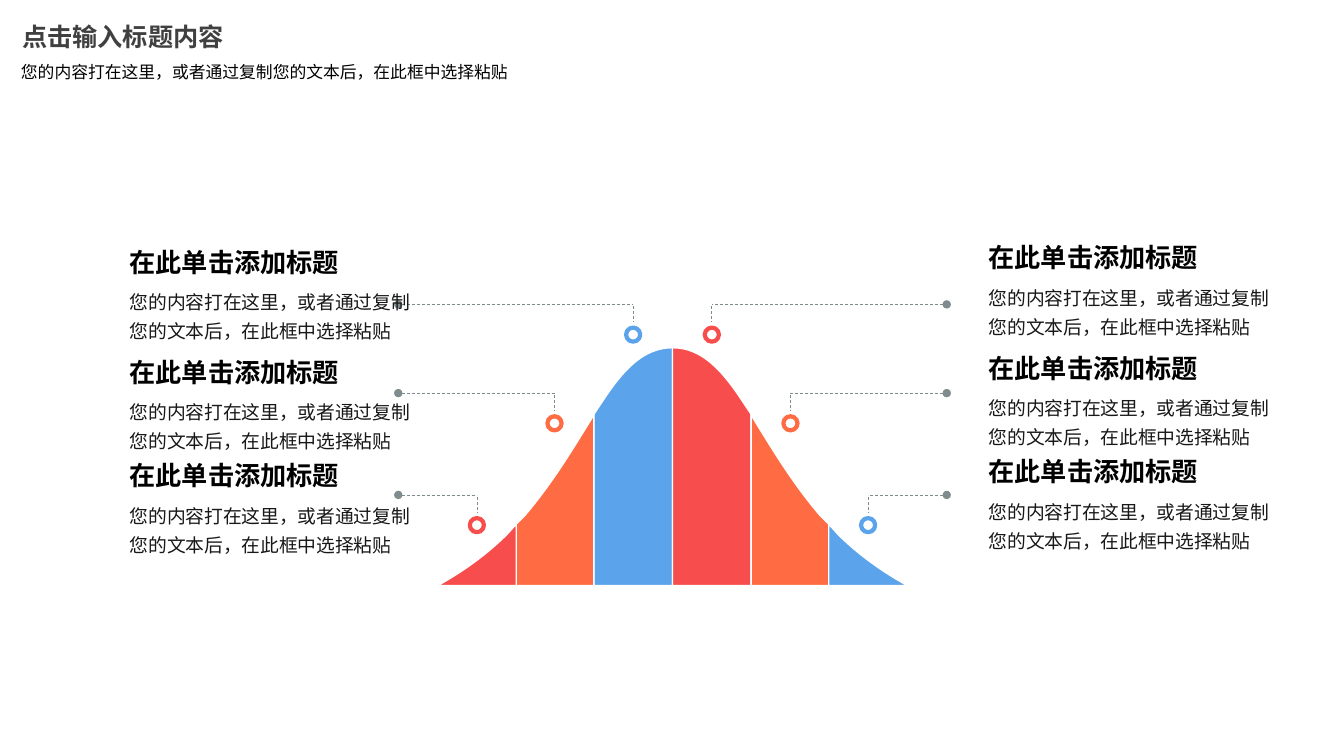
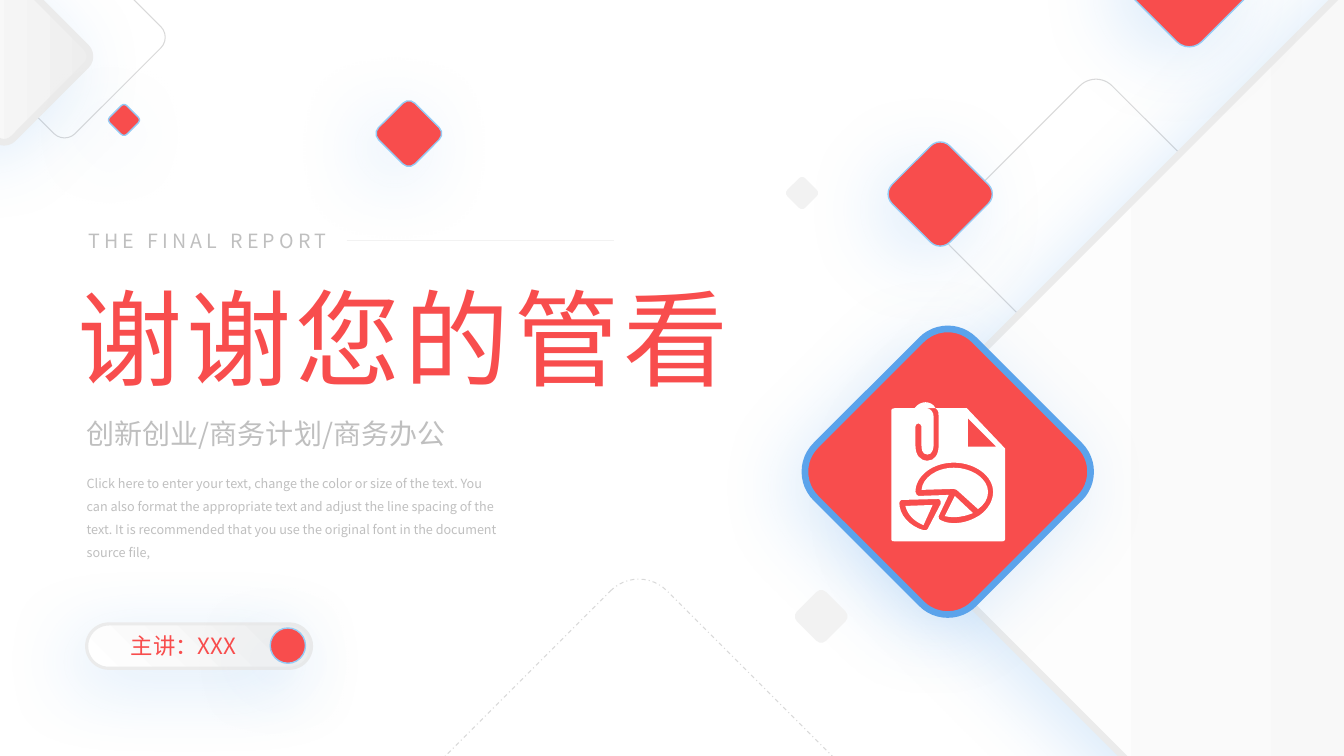
"""Build a bell-curve slide and a closing slide."""
from lxml import etree
from pptx import Presentation
from pptx import util as u
from pptx.dml.color import RGBColor
from pptx.enum import dml, shapes, text
from pptx.oxml.ns import qn

EMU_PER_PX = 9144
FONT = "Noto Sans CJK SC"
RED, ORANGE, BLUE = "F84D4D", "FF6B42", "5BA3EB"
WHITE, BLACK, INK, TITLE_GRAY = "FFFFFF", "000000", "181818", "404040"
TEXT_GRAY, OUTLINE, PALE, EDGE = "BFBFBF", "D9D9D9", "F2F2F2", "EBEBEB"
SLATE, ICE, SHADOW = "7F8C8D", "94CBF5", "4999E9"
DEFAULT_INSETS, NO_INSETS = (10, 5, 10, 5), (0, 0, 0, 0)
SENTENCE = "您的内容打在这里，或者通过复制您的文本后，在此框中选择粘贴"
CENTER, LEADER_REACH = 667, 272

BELL_SEGMENTS = [
    ([(0, 345), (29, 345, 49, 367, 70, 399), (78, 411), (78, 581), (0, 581)], BLUE, RED),
    ([(78, 411), (80, 415), (98, 444, 118, 478, 146, 511), (155, 520), (155, 581), (78, 581)],
     ORANGE, ORANGE),
    ([(155, 520), (164, 530), (183, 549, 206, 566, 233, 581), (155, 581)], RED, BLUE),
]
MARKERS = [(39, 302, BLUE, RED), (117, 390, ORANGE, ORANGE), (194, 491, RED, BLUE)]
ITEM_TOPS = [(239, 277), (349, 386), (451, 489)]

PIE_TOP = [(946, 464), (929, 464, 915, 474, 914, 486), (946, 485), (949, 486), (970, 505),
           (976, 501, 980, 495, 980, 488), (980, 475, 964, 464, 946, 464)]
PIE_BOTTOM = [(937, 512), (941, 513, 944, 513, 946, 513), (954, 513, 960, 511, 965, 509), (947, 492)]
PIE_SLICE = [(916, 521), (925, 501), (898, 502), (900, 510, 906, 517, 916, 521)]
PAGE_AND_CLIP = [
    (997, 445), (996, 444), (959, 405), (928, 405), (931, 407, 931, 410, 931, 413), (931, 442),
    (931, 451, 927, 457, 920, 457), (912, 457, 908, 451, 908, 442), (908, 423),
    (908, 422, 909, 420, 911, 420), (912, 420, 914, 422, 914, 423), (914, 442),
    (914, 444, 914, 451, 920, 451), (925, 451, 926, 444, 926, 442), (926, 413),
    (926, 409, 923, 405, 919, 405), (928, 405), (926, 401, 922, 399, 918, 399),
    (914, 399, 910, 401, 907, 405), (887, 405), (885, 405, 884, 406, 884, 407), (884, 535),
    (884, 537, 885, 537, 887, 537), (994, 537), (995, 537, 997, 537, 997, 535)]
SLICE_HOLE = [(918, 526), (916, 526), (902, 522, 892, 511, 892, 499), (892, 498, 893, 496, 894, 496),
              (931, 495), (931, 495, 933, 496, 933, 497), (933, 500), (920, 525),
              (919, 526, 918, 526, 918, 526)]
PIE_HOLE = [(972, 511), (964, 516, 956, 519, 946, 519), (941, 519, 937, 518, 933, 516),
            (931, 516, 931, 514, 931, 512), (941, 491), (911, 492), (910, 492, 908, 490, 908, 488),
            (908, 472, 925, 459, 946, 459), (967, 459, 985, 472, 985, 488),
            (985, 497, 980, 505, 972, 511)]
FOLD_HOLE = [(960, 443), (960, 415), (988, 443)]
REPORT_ICON = [[PIE_TOP], [PIE_BOTTOM], [PIE_SLICE],
               [PAGE_AND_CLIP, SLICE_HOLE, PIE_HOLE, FOLD_HOLE]]


def px(value):
    """Turn px into EMU."""
    return u.Emu(round(value * EMU_PER_PX))


def color(value):
    """Turn a hex string into a colour."""
    return RGBColor.from_string(value)


def apply(target, values):
    """Set each attribute named in a dict of format values."""
    for name, value in values.items():
        setattr(target, name, value)


def paint_line(line, stroke):
    """Format a line from a (colour, points, dash) tuple, or clear it."""
    if stroke is None:
        line.fill.background()
        return
    stroke_color, width, *dash = stroke
    line.color.rgb = color(stroke_color)
    apply(line, {"width": u.Pt(width), "dash_style": dash[0] if dash else None})


def paint_fill(fill, paint):
    """Apply no fill, a solid colour, or a gradient of (colour, position) stops."""
    if paint is None:
        fill.background()
    elif isinstance(paint, str):
        fill.solid()
        fill.fore_color.rgb = color(paint)
    else:
        fill.gradient()
        fill.gradient_angle = 45
        for stop, (stop_color, position) in zip(fill.gradient_stops, paint):
            stop.color.rgb = color(stop_color)
            stop.position = position


def add_glow(shape):
    """Give a shape the soft blue shadow below and to its left."""
    effects = shape._element.spPr.find(qn("a:effectLst"))
    shadow = etree.SubElement(effects, qn("a:outerShdw"), blurRad=str(u.Pt(55)), dist=str(u.Pt(15)),
                              dir=str(135 * 60000), algn="ctr", rotWithShape="0")
    tint = etree.SubElement(shadow, qn("a:srgbClr"), val=SHADOW)
    etree.SubElement(tint, qn("a:alpha"), val="20000")


def add_preset(slide, kind, box, fill=None, stroke=None, radius=None, rotation=0, glow=False):
    """Draw a preset shape."""
    shape = slide.shapes.add_shape(kind, *map(px, box))
    shape.shadow.inherit = False
    shape.rotation = rotation
    if radius is not None:
        shape.adjustments[0] = radius
    paint_fill(shape.fill, fill)
    paint_line(shape.line, stroke)
    if glow:
        add_glow(shape)


def add_circle(slide, left, top, size, **style):
    """Draw a circle."""
    add_preset(slide, shapes.MSO_SHAPE.OVAL, (left, top, size, size), **style)


def add_diamond(slide, left, top, size, **style):
    """Draw a rounded square turned on its corner."""
    add_preset(slide, shapes.MSO_SHAPE.ROUNDED_RECTANGLE, (left, top, size, size),
               rotation=45, **style)


def node_points(node):
    """Split a node into its points: one for a corner, three for a curve."""
    return list(zip(node[::2], node[1::2]))


def bend_curves(shape, contours):
    """Merge the three segments of each curve node into one cubic curve."""
    outline = next(shape._element.iter(qn("a:path")))
    segments = iter([child for child in outline if child.tag != qn("a:close")])
    for node in (node for contour in contours for node in contour):
        parts = [next(segments) for _ in node_points(node)]
        if len(parts) == 3:
            curve = etree.Element(qn("a:cubicBezTo"))
            parts[0].addprevious(curve)
            for part in parts:
                curve.append(part[0])
                outline.remove(part)


def add_outline(slide, contours, fill, stroke=None):
    """Draw a freeform of closed contours made of corners and curves."""
    builder = slide.shapes.build_freeform(*contours[0][0], scale=EMU_PER_PX)
    for index, (start, *nodes) in enumerate(contours):
        if index:
            builder.move_to(*start)
        builder.add_line_segments([point for node in nodes for point in node_points(node)],
                                  close=True)
    shape = builder.convert_to_shape()
    bend_curves(shape, contours)
    shape.shadow.inherit = False
    paint_fill(shape.fill, fill)
    paint_line(shape.line, stroke)


def add_line(slide, start, end, stroke, dot=False):
    """Draw a straight line, with a dot at its start if asked."""
    connector = slide.shapes.add_connector(shapes.MSO_CONNECTOR.STRAIGHT,
                                           *map(px, (*start, *end)))
    paint_line(connector.line, stroke)
    properties = connector._element.spPr
    if dot:
        etree.SubElement(properties.find(qn("a:ln")), qn("a:headEnd"), type="oval")
    etree.SubElement(properties, qn("a:effectLst"))


def add_text(slide, box, content, size, ink, bold=False, insets=DEFAULT_INSETS, spacing=None,
             align=None, tracking=None, anchor=None):
    """Write one paragraph in a wrapping text box."""
    frame = slide.shapes.add_textbox(*map(px, box)).text_frame
    sides = ("margin_left", "margin_top", "margin_right", "margin_bottom")
    apply(frame, dict(zip(sides, map(px, insets))))
    fit = text.MSO_AUTO_SIZE.NONE if anchor else text.MSO_AUTO_SIZE.SHAPE_TO_FIT_TEXT
    apply(frame, {"word_wrap": True, "vertical_anchor": anchor, "auto_size": fit})
    paragraph = frame.paragraphs[0]
    apply(paragraph, {"alignment": align, "line_spacing": spacing})
    run = paragraph.add_run()
    run.text = content
    apply(run.font, {"size": u.Pt(size), "bold": bold, "name": FONT})
    run.font.color.rgb = color(ink)
    properties = run._r.get_or_add_rPr()
    etree.SubElement(properties, qn("a:ea"), typeface=FONT)
    if tracking:
        properties.set("spc", str(tracking * 100))


def add_bell(slide):
    """Draw the bell as mirrored segments."""
    for contour, left_color, right_color in BELL_SEGMENTS:
        for side, fill in ((-1, left_color), (1, right_color)):
            placed = [tuple(CENTER + side * value if index % 2 == 0 else value
                            for index, value in enumerate(node)) for node in contour]
            add_outline(slide, [placed], fill, (WHITE, 1))


def add_marker(slide, side, offset, y, ring_color):
    """Draw a ring with its dashed leader to one side."""
    x = CENTER + side * offset
    dashed = (SLATE, 0.5, dml.MSO_LINE.DASH)
    add_circle(slide, x - 7, y + 23, 14, stroke=(ring_color, 3))
    add_line(slide, (x, y + 2), (x, y + 17), dashed)
    add_line(slide, (CENTER + side * LEADER_REACH, y), (x, y), dashed, dot=True)


def add_item(slide, left, title_top, body_top):
    """Write a heading with its description."""
    add_text(slide, (left, body_top, 309, 66), SENTENCE, 13.33, INK, spacing=1.3)
    add_text(slide, (left, title_top, 244, 42), "在此单击添加标题", 18.67, BLACK, bold=True,
             align=text.PP_ALIGN.JUSTIFY)


def build_bell_slide(slide):
    """Build the bell-curve slide."""
    add_bell(slide)
    for offset, y, left_color, right_color in MARKERS:
        add_marker(slide, -1, offset, y, left_color)
        add_marker(slide, 1, offset, y, right_color)
    for title_top, body_top in ITEM_TOPS:
        add_item(slide, 119, title_top, body_top)
        add_item(slide, 971, title_top - 4, body_top - 4)
    add_text(slide, (22, 15, 233, 42), "点击输入标题内容", 18, TITLE_GRAY, bold=True,
             insets=(0, 5, 0, 5), anchor=text.MSO_ANCHOR.MIDDLE)
    add_text(slide, (11, 56, 667, 30), SENTENCE, 12, BLACK)


def build_closing_slide(slide):
    """Build the closing slide."""
    thin = {"stroke": (OUTLINE, 0.75), "radius": 0.1}
    panel = {"stroke": (EDGE, 4.75), "radius": 0.1, "glow": True}
    accent = {"fill": RED, "stroke": (ICE, 1), "glow": True}
    soft = [(WHITE, 0), ("EEEEEE", 1)]
    add_diamond(slide, 974, 116, 226, **thin)
    add_diamond(slide, 1035, 16, 927, fill=[(WHITE, 0), ("EEEEEE", 0.85)], **panel)
    add_diamond(slide, -11, -38, 150, **thin)
    add_text(slide, (67, 266, 869, 136), "谢谢您的管看", 75, RED, tracking=3,
             align=text.PP_ALIGN.JUSTIFY)
    add_diamond(slide, -60, -8, 128, fill=soft, **panel)
    add_diamond(slide, 829, 357, 222, fill=RED, stroke=(BLUE, 4.75), glow=True)
    for left, top, size in ((1127, -73, 105), (380, 107, 51), (892, 152, 81)):
        add_diamond(slide, left, top, size, **accent)
    add_text(slide, (78, 222, 310, 34), "THE FINAL REPORT", 14, TEXT_GRAY, tracking=3)
    add_line(slide, (344, 238), (609, 238), (PALE, 0.5))
    add_text(slide, (86, 465, 413, 89),
             "Click here to enter your text, change the color or size of the text. "
             "You can also format the appropriate text and adjust the line spacing of the text. "
             "It is recommended that you use the original font in the document source file,",
             9, TEXT_GRAY, insets=NO_INSETS, spacing=1.5)
    add_text(slide, (86, 413, 413, 34), "创新创业/商务计划/商务办公", 20, TEXT_GRAY, insets=NO_INSETS)
    for left, top, size in ((783, 179, 25), (794, 591, 41)):
        add_diamond(slide, left, top, size, fill=PALE)
    add_diamond(slide, 111, 107, 24, **accent)
    add_preset(slide, shapes.MSO_SHAPE.ROUNDED_RECTANGLE, (86, 619, 223, 44), fill=soft,
               stroke=(EDGE, 2.25), radius=0.5, glow=True)
    add_circle(slide, 268, 623, 35, **accent)
    add_text(slide, (122, 627, 120, 27), "主讲：XXX", 16, RED, insets=NO_INSETS,
             align=text.PP_ALIGN.CENTER)
    for contours in REPORT_ICON:
        add_outline(slide, contours, WHITE)
    add_diamond(slide, 436, 640, 395, stroke=(OUTLINE, 0.75, dml.MSO_LINE.DASH_DOT), radius=0.1)


def main():
    """Build and save the presentation."""
    presentation = Presentation()
    apply(presentation, {"slide_width": px(1333), "slide_height": px(750)})
    for build in (build_bell_slide, build_closing_slide):
        build(presentation.slides.add_slide(presentation.slide_layouts[6]))
    presentation.save("out.pptx")


if __name__ == "__main__":
    main()
